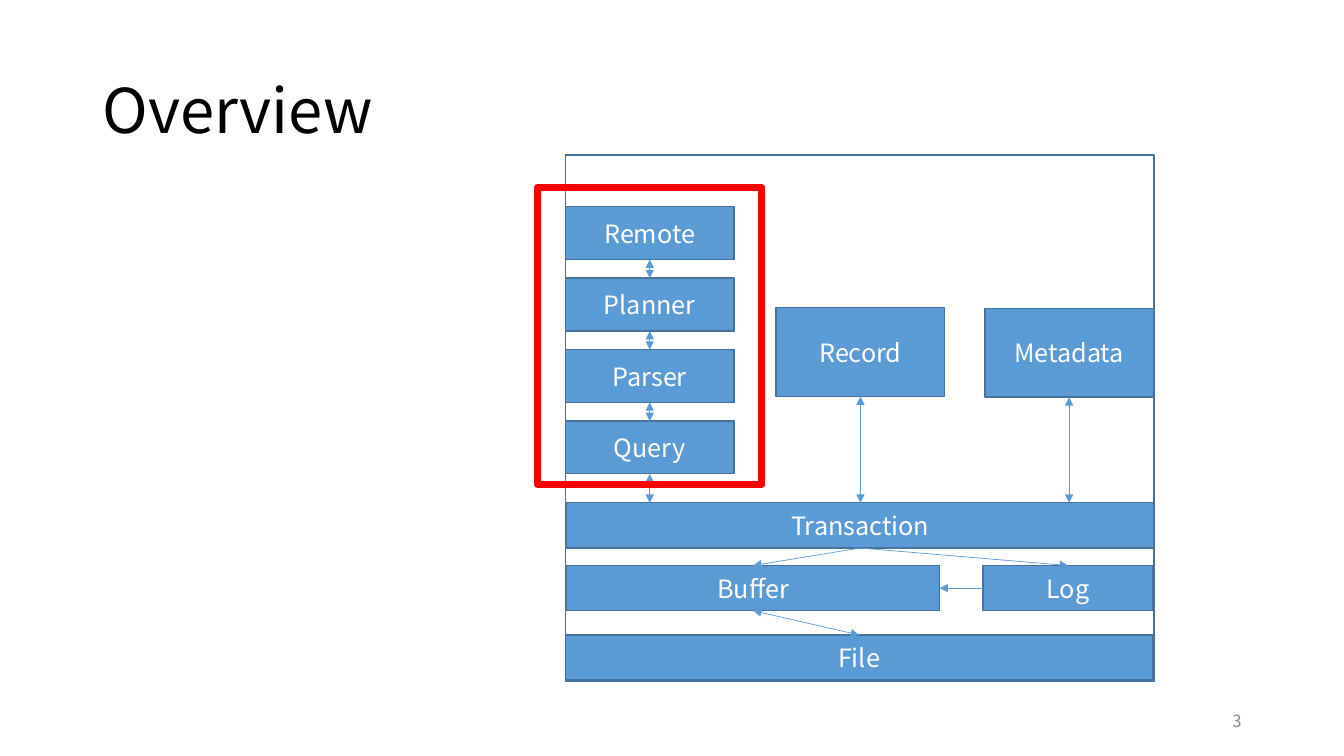
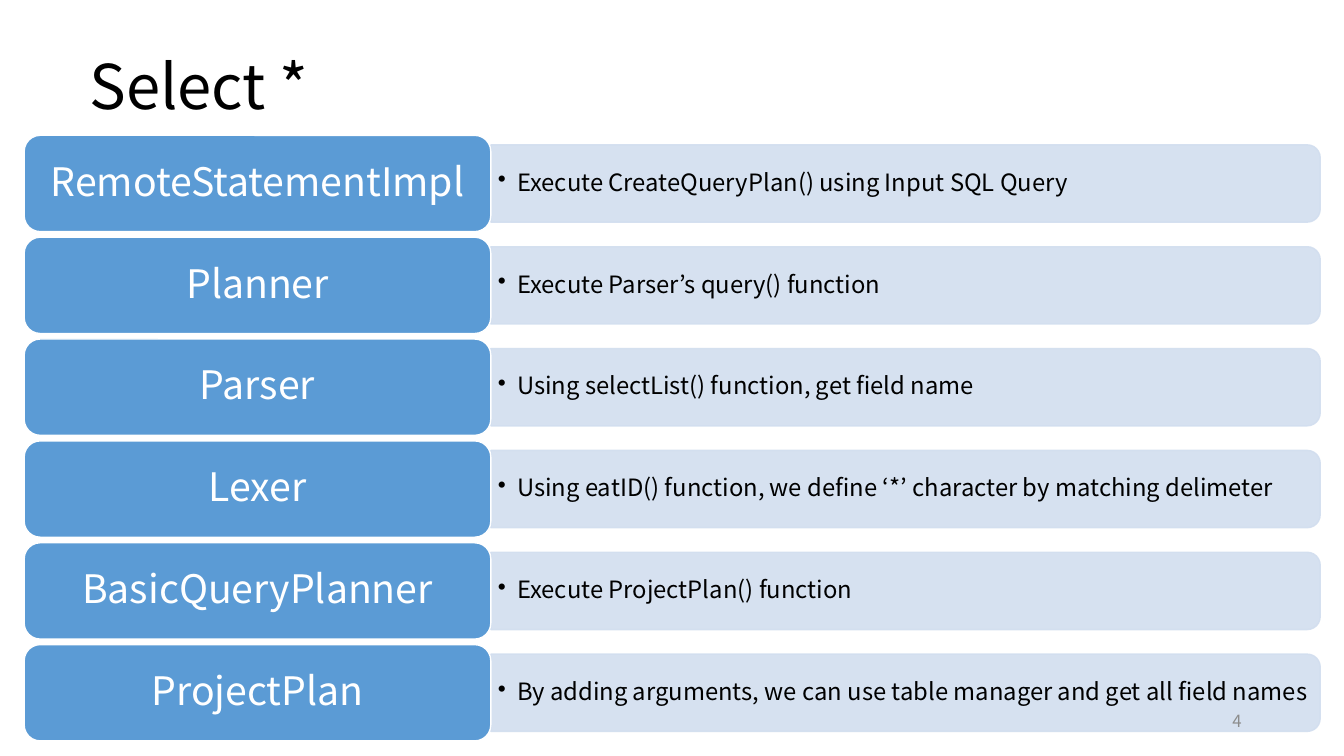
from pptx import Presentation
from pptx.dml.color import RGBColor
from pptx.enum.shapes import MSO_CONNECTOR, MSO_SHAPE
from pptx.enum.text import MSO_ANCHOR, MSO_AUTO_SIZE, PP_ALIGN
from pptx.oxml.ns import qn
from pptx.util import Cm, Pt
from lxml.etree import SubElement

FONT = "Noto Sans CJK KR"
BLUE = RGBColor(0x5B, 0x9B, 0xD5)
DARK_BLUE = RGBColor(0x43, 0x73, 0x9E)
PALE_BLUE = RGBColor(0xD2, 0xDE, 0xEF)
RED = RGBColor(0xFF, 0x00, 0x00)
GREY = RGBColor(0x8C, 0x8C, 0x8C)
BLACK = RGBColor(0x00, 0x00, 0x00)
WHITE = RGBColor(0xFF, 0xFF, 0xFF)

TITLE_ONLY = 5
TOP, LEFT, BOTTOM, RIGHT = range(4)  # connection sites of a rectangle

STACK = ["Remote", "Planner", "Parser", "Query"]
# left, top, width, height in cm, inside the frame
MODULES = {
    "Record": (5.31, 3.84, 4.25, 2.24),
    "Metadata": (10.57, 3.86, 4.25, 2.24),
    "Transaction": (0.03, 8.76, 14.8, 1.14),
    "Buffer": (0.03, 10.34, 9.4, 1.14),
    "Log": (10.52, 10.34, 4.29, 1.14),
    "File": (0, 12.09, 14.8, 1.14),
}
# module, site, module, site, arrowheads at both ends
LINKS = [(upper, BOTTOM, lower, TOP, True) for upper, lower in zip(STACK, STACK[1:])] + [
    ("Transaction", BOTTOM, "Buffer", TOP, False),
    ("Transaction", BOTTOM, "Log", TOP, False),
    ("Log", LEFT, "Buffer", RIGHT, False),
    ("Buffer", BOTTOM, "File", TOP, True),
]
STEPS = [
    ("RemoteStatementImpl", "Execute CreateQueryPlan() using Input SQL Query"),
    ("Planner", "Execute Parser\u2019s query() function"),
    ("Parser", "Using selectList() function, get field name"),
    ("Lexer", "Using eatID() function, we define \u2018*\u2019 character by matching delimeter"),
    ("BasicQueryPlanner", "Execute ProjectPlan() function"),
    ("ProjectPlan", "By adding arguments, we can use table manager and get all field names"),
]


def write(frame, text, size, color, align=PP_ALIGN.LEFT, spacing=None):
    """Set one vertically centred paragraph and return it."""
    frame.word_wrap = True
    frame.auto_size = MSO_AUTO_SIZE.NONE
    frame.vertical_anchor = MSO_ANCHOR.MIDDLE
    para = frame.paragraphs[0]
    para.alignment = align
    if spacing:
        para.line_spacing = spacing
    span = para.add_run()
    span.text = text
    span.font.name = FONT
    span.font.size = Pt(size)
    span.font.color.rgb = color
    return para


def add_box(page, kind, left, top, width, height, fill, line, weight=1):
    """Add a flat preset shape; no fill colour leaves it hollow."""
    box = page.shapes.add_shape(kind, left, top, width, height)
    box.shadow.inherit = False
    if fill is None:
        box.fill.background()
    else:
        box.fill.solid()
        box.fill.fore_color.rgb = fill
    box.line.color.rgb = line
    box.line.width = Pt(weight)
    return box


def add_arrow(page, start, end, both):
    """Add a thin arrow, optionally with a head at each end."""
    arrow = page.shapes.add_connector(MSO_CONNECTOR.STRAIGHT, *start, *end)
    arrow.line.color.rgb = BLUE
    arrow.line.width = Pt(0.5)
    properties = arrow.element.spPr
    outline = properties.find(qn("a:ln"))
    for tag in ["a:headEnd", "a:tailEnd"] if both else ["a:tailEnd"]:
        SubElement(outline, qn(tag), type="triangle")
    SubElement(properties, qn("a:effectLst"))
    return arrow


def add_page(deck, title, left, top):
    """Add a slide with its title placed at the given corner."""
    page = deck.slides.add_slide(deck.slide_layouts[TITLE_ONLY])
    heading = page.shapes.title
    heading.left, heading.top = left, top
    heading.width, heading.height = Cm(29.21), Cm(3.68)
    write(heading.text_frame, title, 44, BLACK, spacing=0.9)
    return page


def add_page_number(page, number):
    """Put the page number at the lower right."""
    box = page.shapes.add_textbox(Cm(23.92), Cm(17.66), Cm(7.62), Cm(1.01))
    write(box.text_frame, str(number), 12, GREY, PP_ALIGN.RIGHT)


def draw_architecture(page, left, top, width, height):
    """Draw the module diagram inside a frame, with the front end marked."""
    places = {name: (0, 1.3 + 1.8 * row, 4.25, 1.33) for row, name in enumerate(STACK)}
    places.update(MODULES)
    add_box(page, MSO_SHAPE.RECTANGLE, left, top, width, height, None, DARK_BLUE)
    modules = {}
    for name, (x, y, w, h) in places.items():
        module = add_box(page, MSO_SHAPE.RECTANGLE, left + Cm(x), top + Cm(y),
                         Cm(w), Cm(h), BLUE, DARK_BLUE)
        write(module.text_frame, name, 18, WHITE, PP_ALIGN.CENTER)
        modules[name] = module

    for source, source_site, target, target_site, both in LINKS:
        arrow = add_arrow(page, (left, top), (left, top), both)
        arrow.begin_connect(modules[source], source_site)
        arrow.end_connect(modules[target], target_site)

    for name in ["Query", "Record", "Metadata"]:
        module = modules[name]
        middle = module.left + module.width // 2
        arrow = add_arrow(page, (middle, module.top + module.height),
                          (middle, modules["Transaction"].top), True)
        arrow.begin_connect(module, BOTTOM)

    add_box(page, MSO_SHAPE.RECTANGLE, left - Cm(0.71), top + Cm(0.81),
            Cm(5.66), Cm(7.49), None, RED, 5)


def draw_detail(page, text, left, top, width, height):
    """Draw a translucent band rounded on its right, with a bulleted line."""
    # The preset rounds its top corners, so it is turned a quarter about its centre.
    shift = (width - height) // 2
    band = add_box(page, MSO_SHAPE.ROUND_2_SAME_RECTANGLE, left + shift, top - shift,
                   height, width, PALE_BLUE, PALE_BLUE)
    band.rotation = 90
    for color in band.element.spPr.iter(qn("a:srgbClr")):
        SubElement(color, qn("a:alpha"), val="90000")

    box = page.shapes.add_textbox(left, top + Cm(0.1), width - Cm(0.1), height - Cm(0.2))
    frame = box.text_frame
    frame.margin_left = frame.margin_right = Cm(0.18)
    frame.margin_top = frame.margin_bottom = Cm(0.1)
    para = write(frame, text, 17, BLACK, spacing=0.9)
    properties = para._p.get_or_add_pPr()
    properties.set("marL", str(Cm(0.48)))
    properties.set("indent", str(-Cm(0.48)))
    SubElement(properties, qn("a:buChar"), char="\u2022")


def draw_steps(page, left, top, width, height):
    """Draw the steps as equal rows of a label and its detail."""
    gap = Cm(0.14)
    label_width = Cm(11.76)
    row_height = (height - gap * (len(STEPS) - 1)) // len(STEPS)
    inset = Cm(0.24)
    for row, (name, detail) in enumerate(STEPS):
        row_top = top + row * (row_height + gap)
        draw_detail(page, detail, left + label_width, row_top + inset,
                    width - label_width, row_height - 2 * inset)
        label = add_box(page, MSO_SHAPE.ROUNDED_RECTANGLE, left, row_top,
                        label_width, row_height, BLUE, WHITE)
        write(label.text_frame, name, 28, WHITE, PP_ALIGN.CENTER, 0.9)


def main():
    """Build and save the deck."""
    deck = Presentation()
    deck.slide_width, deck.slide_height = Cm(33.87), Cm(19.05)

    overview = add_page(deck, "Overview", Cm(2.33), Cm(1.03))
    draw_architecture(overview, Cm(14.25), Cm(3.91), Cm(14.83), Cm(13.26))
    add_page_number(overview, 3)

    select = add_page(deck, "Select *", Cm(2), Cm(0.41))
    draw_steps(select, Cm(0.61), Cm(3.41), Cm(32.66), Cm(15.26))
    add_page_number(select, 4)

    deck.save("out.pptx")


main()
